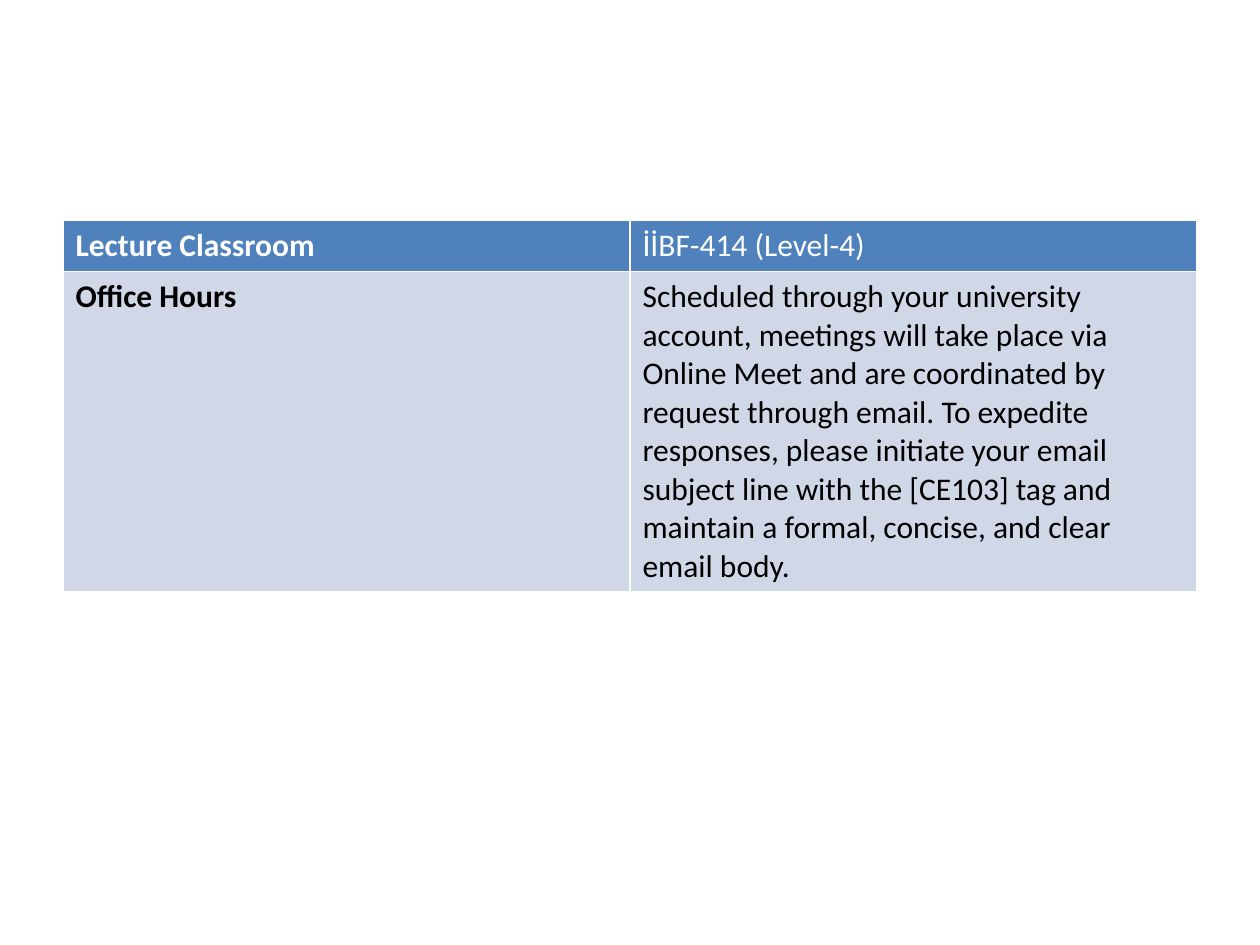
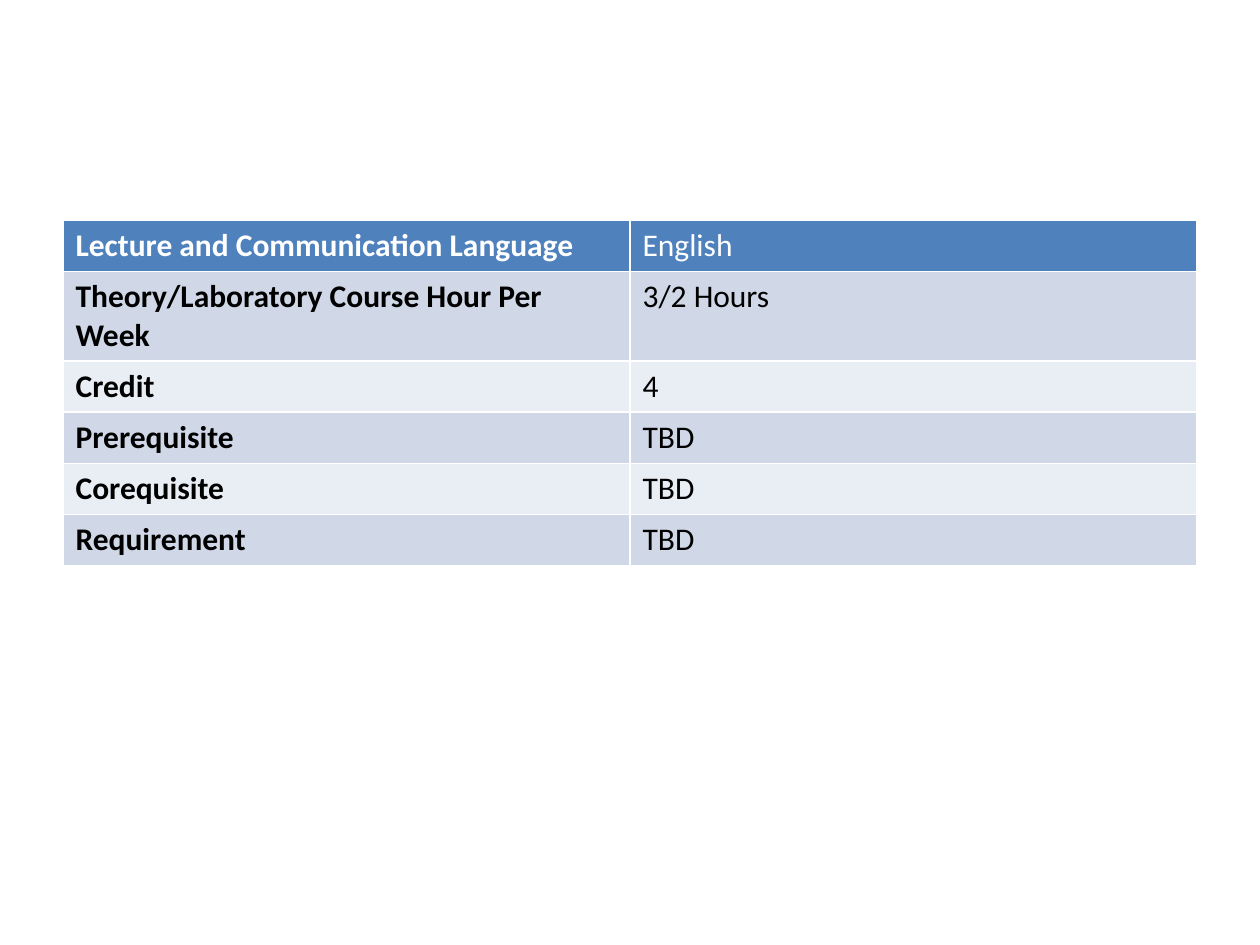
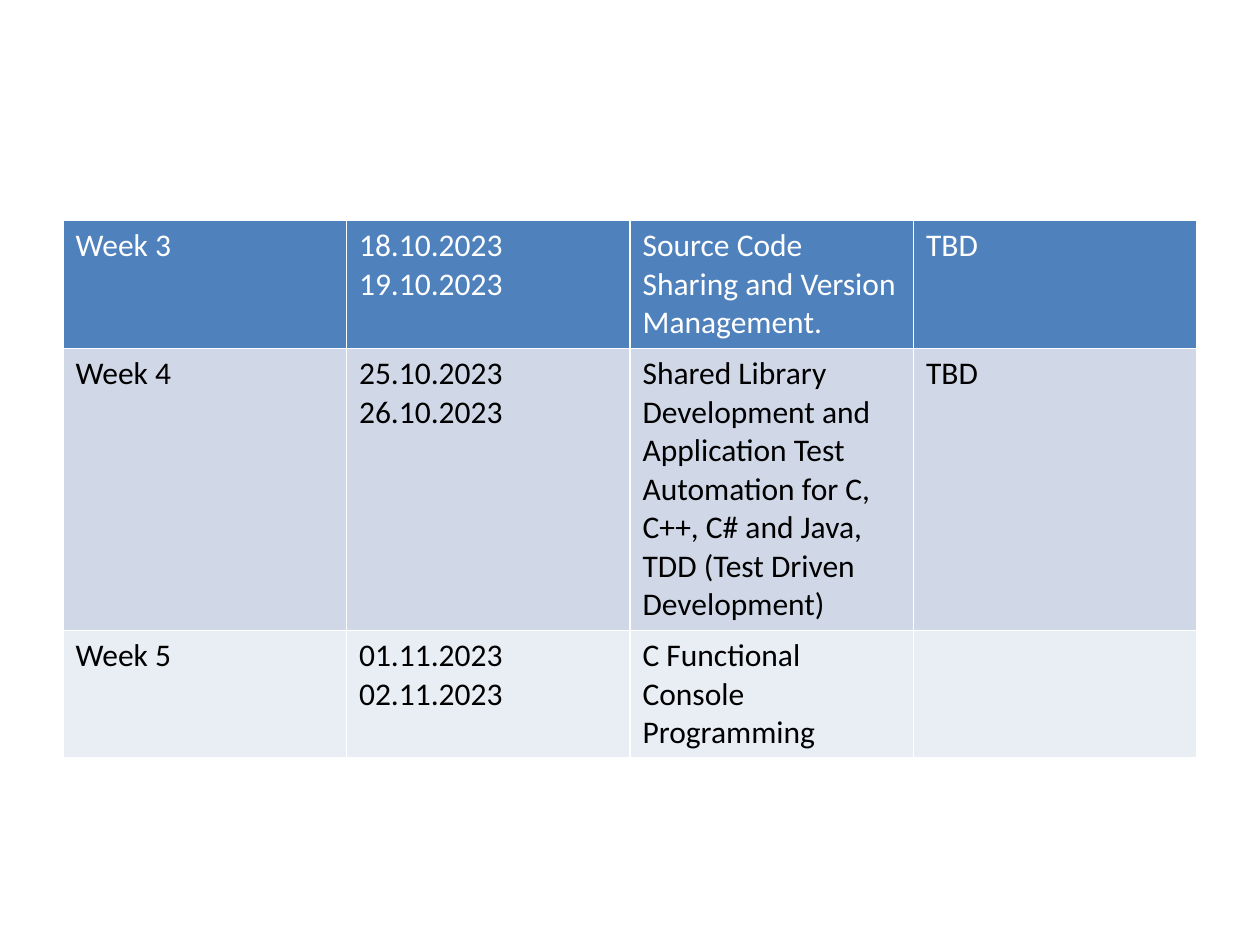
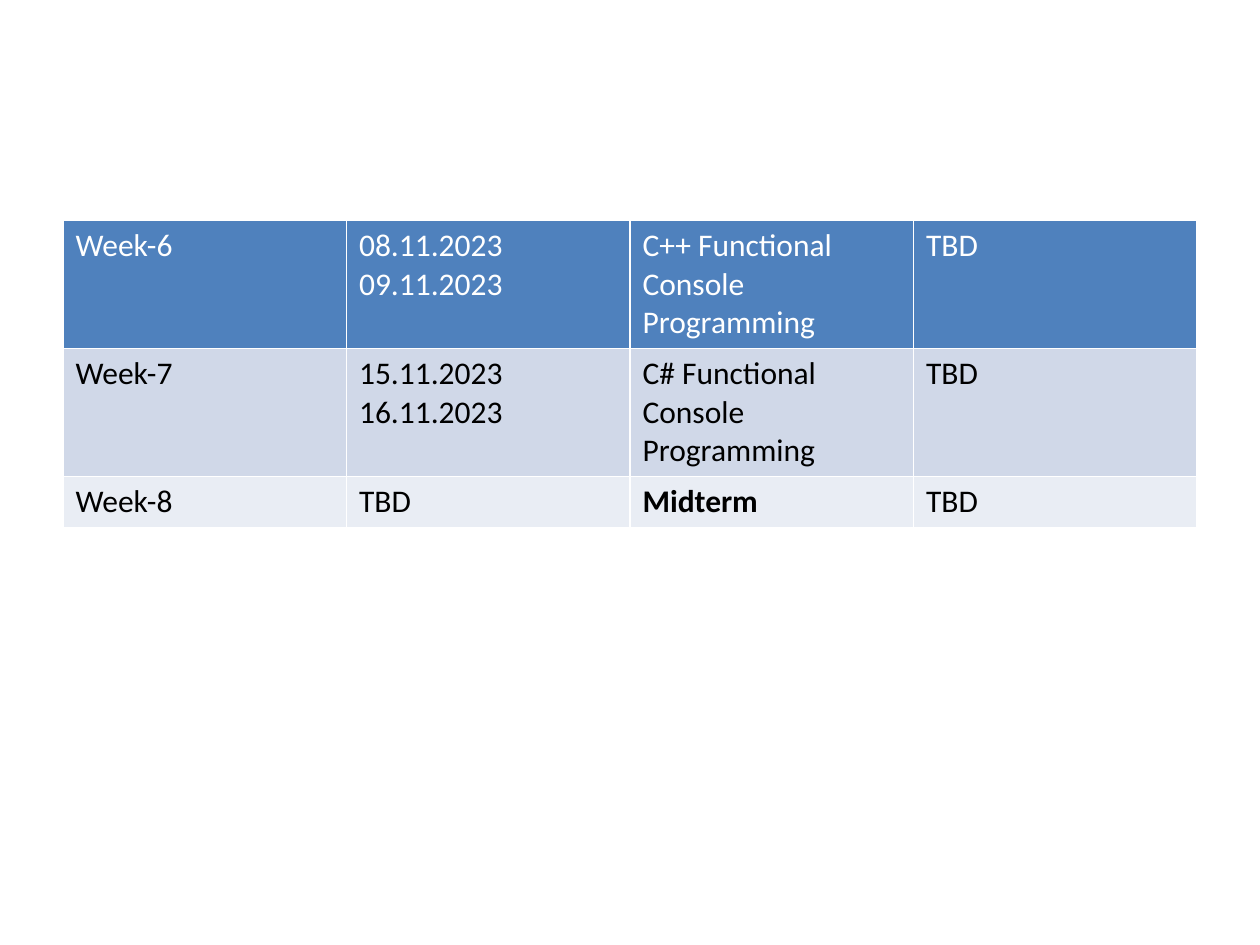
from pptx import Presentation
from pptx.dml.color import RGBColor
from pptx.util import Inches, Pt

WHITE = RGBColor(0xFF, 0xFF, 0xFF)
BLACK = RGBColor(0x00, 0x00, 0x00)
HEADER_BLUE = RGBColor(0x4F, 0x81, 0xBD)
BAND_DARK = RGBColor(0xD0, 0xD8, 0xE8)
BAND_LIGHT = RGBColor(0xE9, 0xED, 0xF4)

TABLE_WIDTH = 9
BOLD_TEXTS = {"Midterm"}

classroom = [
    ("Lecture Classroom", "İİBF-414 (Level-4)"),
    ("Office Hours",
     "Scheduled through your university account, meetings will take place via "
     "Online Meet and are coordinated by request through email. To expedite "
     "responses, please initiate your email subject line with the [CE103] tag "
     "and maintain a formal, concise, and clear email body."),
]
course_facts = [
    ("Lecture and Communication Language", "English"),
    ("Theory/Laboratory Course Hour Per Week", "3/2 Hours"),
    ("Credit", "4"),
    ("Prerequisite", "TBD"),
    ("Corequisite", "TBD"),
    ("Requirement", "TBD"),
]
weeks_3_to_5 = [
    ("Week 3", "18.10.2023 19.10.2023",
     "Source Code Sharing and Version Management.", "TBD"),
    ("Week 4", "25.10.2023 26.10.2023",
     "Shared Library Development and Application Test Automation for "
     "C, C++, C# and Java, TDD (Test Driven Development)", "TBD"),
    ("Week 5", "01.11.2023 02.11.2023", "C Functional Console Programming", ""),
]
weeks_6_to_8 = [
    ("Week-6", "08.11.2023 09.11.2023", "C++ Functional Console Programming", "TBD"),
    ("Week-7", "15.11.2023 16.11.2023", "C# Functional Console Programming", "TBD"),
    ("Week-8", "TBD", "Midterm", "TBD"),
]

deck = Presentation()
deck.slide_width, deck.slide_height = Inches(10), Inches(7.5)
blank_layout = deck.slide_layouts[6]

for rows in (classroom, course_facts, weeks_3_to_5, weeks_6_to_8):
    page = deck.slides.add_slide(blank_layout)
    column_count = len(rows[0])
    # The default table style supplies the white rules between cells.
    table = page.shapes.add_table(
        len(rows), column_count,
        Inches(0.5), Inches(1.75), Inches(TABLE_WIDTH), Inches(4.94)).table
    for column in table.columns:
        column.width = Inches(TABLE_WIDTH / column_count)

    for row_index, texts in enumerate(rows):
        table.rows[row_index].height = Inches(0)  # rows grow to fit their text
        is_header = row_index == 0
        band = BAND_DARK if row_index % 2 else BAND_LIGHT
        for column_index, text in enumerate(texts):
            cell = table.cell(row_index, column_index)
            cell.fill.solid()
            cell.fill.fore_color.rgb = HEADER_BLUE if is_header else band
            para = cell.text_frame.paragraphs[0]
            is_label = column_count == 2 and column_index == 0
            font_format = {
                "name": "Calibri",
                "size": Pt(18),
                "bold": is_label or text in BOLD_TEXTS,
            }
            if not text:
                continue
            span = para.add_run()
            span.text = text
            for attribute, value in font_format.items():
                setattr(span.font, attribute, value)
            span.font.color.rgb = WHITE if is_header else BLACK

deck.save("out.pptx")
